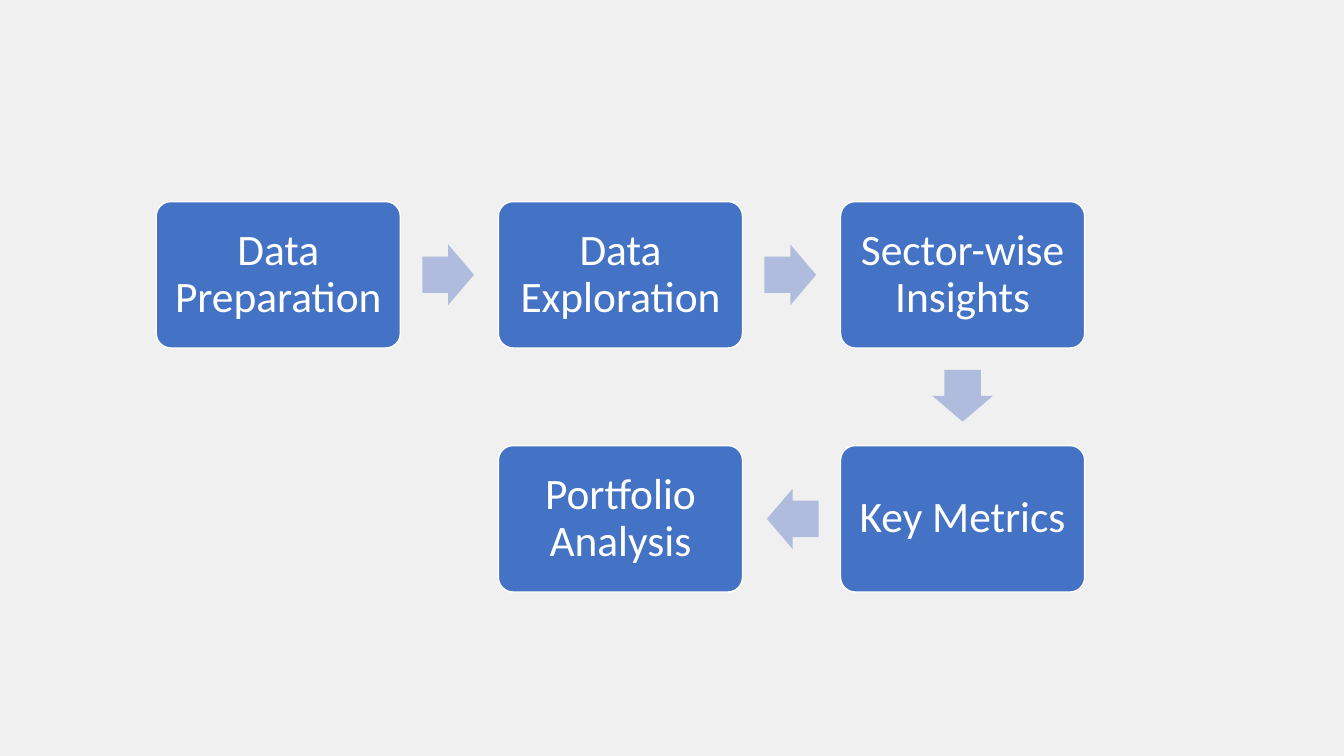
from pptx import Presentation
from pptx.dml.color import RGBColor
from pptx.enum.shapes import MSO_SHAPE
from pptx.enum.text import MSO_ANCHOR, PP_ALIGN
from pptx.util import Pt

# label, column, row, in reading order along the flow
STEPS = [
    ("Data Preparation", 0, 0),
    ("Data Exploration", 1, 0),
    ("Sector-wise Insights", 2, 0),
    ("Key Metrics", 2, 1),
    ("Portfolio Analysis", 1, 1),
]
ROTATION = {(1, 0): 0, (0, 1): 90, (-1, 0): 180}

BACKGROUND, BOX_FILL, ARROW_FILL, WHITE = "F0F0F0", "4472C4", "B0BCDE", "FFFFFF"
LEFT, TOP = 111.6, 144
BOX_W, BOX_H = 174.4, 104.6
STEP_X, STEP_Y = 244.4, 174.3
ARROW_W, ARROW_H = 36.9, 43.3
ARROW_GAP = 15.7
INSET = 9.4


def paint(fill, color):
    fill.solid()
    fill.fore_color.rgb = RGBColor.from_string(color)


def add_shape(s, kind, center, size, color, adjustments):
    (cx, cy), (w, h) = center, size
    sp = s.shapes.add_shape(kind, Pt(cx - w / 2), Pt(cy - h / 2), Pt(w), Pt(h))
    sp.shadow.inherit = False
    paint(sp.fill, color)
    sp.line.fill.background()
    for i, value in enumerate(adjustments):
        sp.adjustments[i] = value
    return sp


def set_text(sp, text, *, size, font, color, spacing, inset):
    tf = sp.text_frame
    tf.word_wrap = True
    tf.vertical_anchor = MSO_ANCHOR.MIDDLE
    tf.margin_left = tf.margin_right = tf.margin_top = tf.margin_bottom = Pt(inset)
    p = tf.paragraphs[0]
    p.alignment = PP_ALIGN.CENTER
    p.line_spacing = spacing
    r = p.add_run()
    r.text = text
    r.font.size = Pt(size)
    r.font.name = font
    r.font.color.rgb = RGBColor.from_string(color)


def box_center(col, row):
    return LEFT + col * STEP_X + BOX_W / 2, TOP + row * STEP_Y + BOX_H / 2


def add_box(s, label, col, row):
    sp = add_shape(s, MSO_SHAPE.ROUNDED_RECTANGLE, box_center(col, row),
                   (BOX_W, BOX_H), BOX_FILL, [0.1])
    paint(sp.line.fill, WHITE)
    sp.line.width = Pt(1)
    set_text(sp, label, size=31, font="Calibri", color=WHITE, spacing=0.9, inset=INSET)


def add_arrow(s, start, end):
    """Place an arrow just past the edge of the start cell, aimed at the end cell."""
    dx, dy = end[0] - start[0], end[1] - start[1]
    cx, cy = box_center(*start)
    reach = ARROW_GAP + ARROW_W / 2
    center = cx + dx * (BOX_W / 2 + reach), cy + dy * (BOX_H / 2 + reach)
    sp = add_shape(s, MSO_SHAPE.RIGHT_ARROW, center, (ARROW_W, ARROW_H),
                   ARROW_FILL, [0.6, 0.5])
    sp.rotation = ROTATION[dx, dy]


def main():
    prs = Presentation()
    prs.slide_width, prs.slide_height = Pt(960), Pt(540)
    s = prs.slides.add_slide(prs.slide_layouts[6])
    paint(s.background.fill, BACKGROUND)
    for label, col, row in STEPS:
        add_box(s, label, col, row)
    for (_, *start), (_, *end) in zip(STEPS, STEPS[1:]):
        add_arrow(s, start, end)
    prs.save("out.pptx")


if __name__ == "__main__":
    main()
